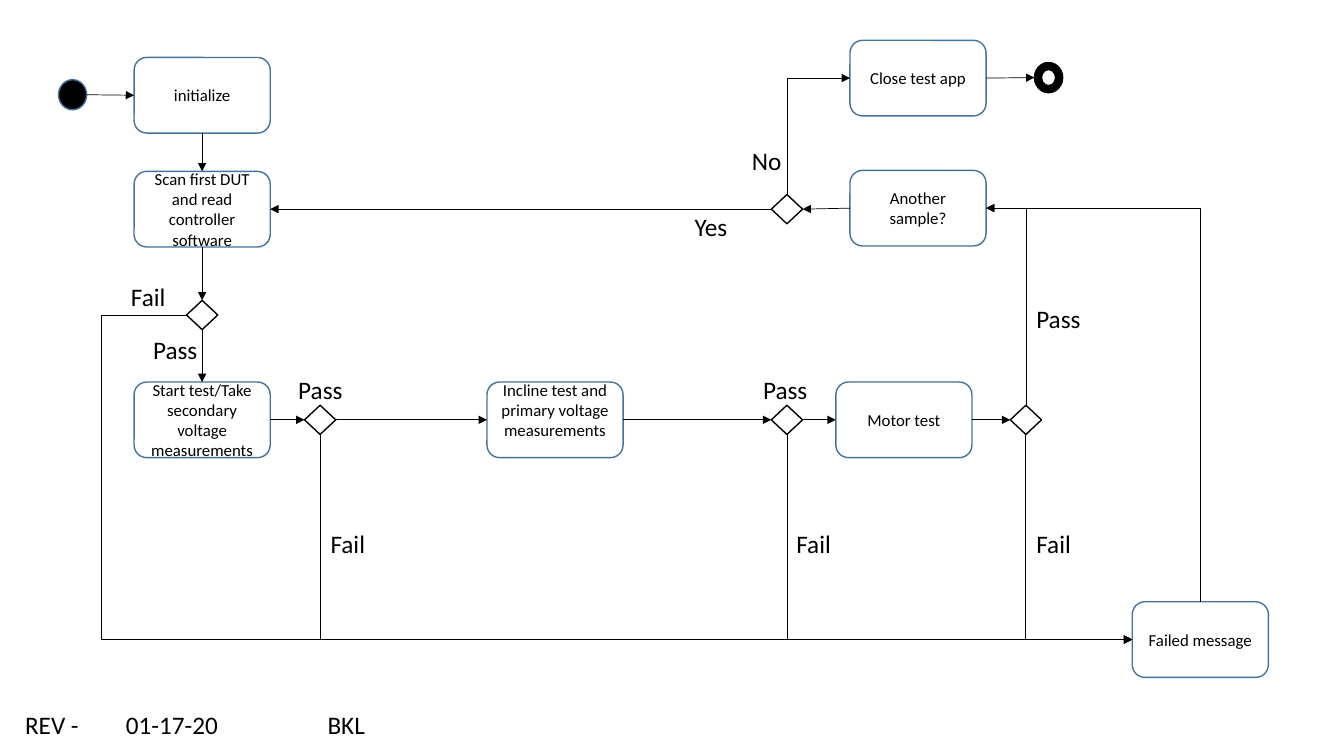
from pptx import Presentation
from pptx.dml.color import RGBColor
from pptx.enum.shapes import MSO_CONNECTOR as Conn, MSO_SHAPE as Kind
from pptx.enum.text import MSO_ANCHOR as Anchor, MSO_AUTO_SIZE as Fit, PP_ALIGN as Align
from pptx.oxml.ns import qn
from pptx.util import Inches, Pt
from lxml.etree import SubElement

TOP, LEFT, BOTTOM, RIGHT = range(4)


def color(code):
    return RGBColor.from_string(code)


def spot(shape, side):
    """Middle of one side of a shape."""
    x, y = [(0.5, 0), (0, 0.5), (0.5, 1), (1, 0.5)][side]
    return (int(shape.left + x * shape.width), int(shape.top + y * shape.height))


class Chart:
    font, ink, edge, paper = "Calibri", "000000", "43739E", "FFFFFF"

    def __init__(self, slide):
        self.shapes = slide.shapes

    def fill_text(self, frame, text, size, align):
        frame.text = text
        para = frame.paragraphs[0]
        para.alignment = align
        style = {"name": self.font, "size": Pt(size)}
        for key, value in style.items():
            setattr(para.runs[0].font, key, value)
        para.runs[0].font.color.rgb = color(self.ink)
        return para

    def node(self, kind, x, y, w, h, fill, line):
        shape = self.shapes.add_shape(kind, Inches(x), Inches(y), Inches(w), Inches(h))
        shape.shadow.inherit = False
        shape.fill.solid()
        shape.fill.fore_color.rgb = color(fill)
        shape.line.color.rgb = color(line)
        shape.line.width = Pt(1)
        return shape

    def step(self, text, x, y, lift=0):
        """Rounded box; lift raises its text by enlarging the lower inset."""
        box = self.node(Kind.ROUNDED_RECTANGLE, x, y, 1.35, 0.75, self.paper, self.edge)
        frame = box.text_frame
        frame.word_wrap = True
        frame.vertical_anchor = Anchor.MIDDLE
        frame.margin_bottom = Inches(0.05 + 2 * lift)
        self.fill_text(frame, text, 12, Align.CENTER)
        return box

    def fork(self, x, y):
        """Decision diamond."""
        return self.node(Kind.DIAMOND, x, y, 0.31, 0.29, self.paper, self.ink)

    def dot(self, kind, x, y, line):
        return self.node(kind, x, y, 0.28, 0.3, self.ink, line)

    def label(self, text, x, y, width):
        box = self.shapes.add_textbox(Inches(x), Inches(y), Inches(width), Inches(0.4))
        box.text_frame.word_wrap = False
        box.text_frame.auto_size = Fit.SHAPE_TO_FIT_TEXT
        return self.fill_text(box.text_frame, text, 18, Align.LEFT)

    def arrow(self, kind, start, end):
        line = self.shapes.add_connector(kind, *start, *end)
        line.line.color.rgb = color(self.ink)
        line.line.width = Pt(0.5)
        props = line.element.spPr
        SubElement(props.find(qn("a:ln")), qn("a:tailEnd"), type="triangle")
        SubElement(props, qn("a:effectLst"))
        return line

    def link(self, a, out, b, into):
        """Straight arrow, joined to every end that is not round."""
        line = self.arrow(Conn.STRAIGHT, spot(a, out), spot(b, into))
        round_kinds = (Kind.OVAL, Kind.DONUT)
        if a.auto_shape_type not in round_kinds:
            line.begin_connect(a, out)
        if b.auto_shape_type not in round_kinds:
            line.end_connect(b, into)

    def turn(self, a, out, b, into):
        """Arrow with one corner, vertical part first."""
        (x1, y1), (x2, y2) = spot(a, out), spot(b, into)
        mx, my = (x1 + x2) // 2, (y1 + y2) // 2
        dx, dy = (x2 - x1) // 2, (y2 - y1) // 2
        line = self.arrow(Conn.ELBOW, (mx + dy, my - dx), (mx - dy, my + dx))
        props = line.element.spPr
        props.find(qn("a:xfrm")).set("rot", str(270 * 60000))
        props.find(qn("a:prstGeom")).set("prst", "bentConnector2")

    def detour(self, a, out, b, into, ratio):
        """Arrow with two corners, the first at a share of the width."""
        line = self.arrow(Conn.ELBOW, spot(a, out), spot(b, into))
        geom = line.element.spPr.find(qn("a:prstGeom"))
        guides = geom.find(qn("a:avLst"))
        if guides is None:
            guides = SubElement(geom, qn("a:avLst"))
        SubElement(guides, qn("a:gd"), name="adj1", fmla=f"val {round(ratio * 100000)}")


def main():
    deck = Presentation()
    deck.slide_width, deck.slide_height = Inches(13.33), Inches(7.5)
    flow = Chart(deck.slides.add_slide(deck.slide_layouts[6]))

    start = flow.dot(Kind.OVAL, 0.58, 0.79, flow.edge)
    stop = flow.dot(Kind.DONUT, 10.26, 0.62, flow.ink)
    init = flow.step("initialize", 1.33, 0.57)
    scan = flow.step("Scan first DUT and read controller software", 1.33, 1.7)
    take = flow.step("Start test/Take secondary voltage measurements", 1.33, 3.79)
    incline = flow.step("Incline test and primary voltage measurements", 4.83, 3.79, 0.1)
    motor = flow.step("Motor test", 8.29, 3.79)
    again = flow.step("Another sample?", 8.43, 1.69)
    close = flow.step("Close test app", 8.43, 0.4)
    failed = flow.step("Failed message", 11.23, 5.97)

    scanned = flow.fork(1.85, 2.98)
    taken = flow.fork(3.02, 4.02)
    inclined = flow.fork(7.65, 4.02)
    moved = flow.fork(10.02, 4.02)
    more = flow.fork(7.65, 1.93)

    across = [(start, init), (take, taken), (taken, incline), (incline, inclined),
              (inclined, motor), (motor, moved), (close, stop)]
    for a, b in across:
        flow.link(a, RIGHT, b, LEFT)
    for a, b in [(init, scan), (scan, scanned), (scanned, take)]:
        flow.link(a, BOTTOM, b, TOP)
    for a, b in [(again, more), (more, scan)]:
        flow.link(a, LEFT, b, RIGHT)

    for fork in (taken, inclined, moved):
        flow.turn(fork, BOTTOM, failed, LEFT)
    for a in (moved, failed):
        flow.turn(a, TOP, again, RIGHT)
    flow.turn(more, TOP, close, LEFT)
    flow.detour(scanned, LEFT, failed, LEFT, -0.09)

    words = {
        ("Pass", 0.64): [(1.42, 3.27), (2.86, 3.66), (7.47, 3.66), (10.18, 2.96)],
        ("Fail", 0.55): [(1.2, 2.74), (3.18, 5.19), (7.8, 5.19), (10.18, 5.19)],
        ("Yes", 0.53): [(6.79, 2.05)],
        ("No", 0.5): [(7.36, 1.39)],
    }
    for (word, width), places in words.items():
        for x, y in places:
            flow.label(word, x, y, width)

    note = flow.label("REV -\t01-17-20\tBKL", 0.15, 6.99, 3.61)
    tabs = SubElement(note._p.get_or_add_pPr(), qn("a:tabLst"))
    for place in (1, 3):
        SubElement(tabs, qn("a:tab"), pos=str(Inches(place)), algn="l")

    deck.save("out.pptx")


if __name__ == "__main__":
    main()
